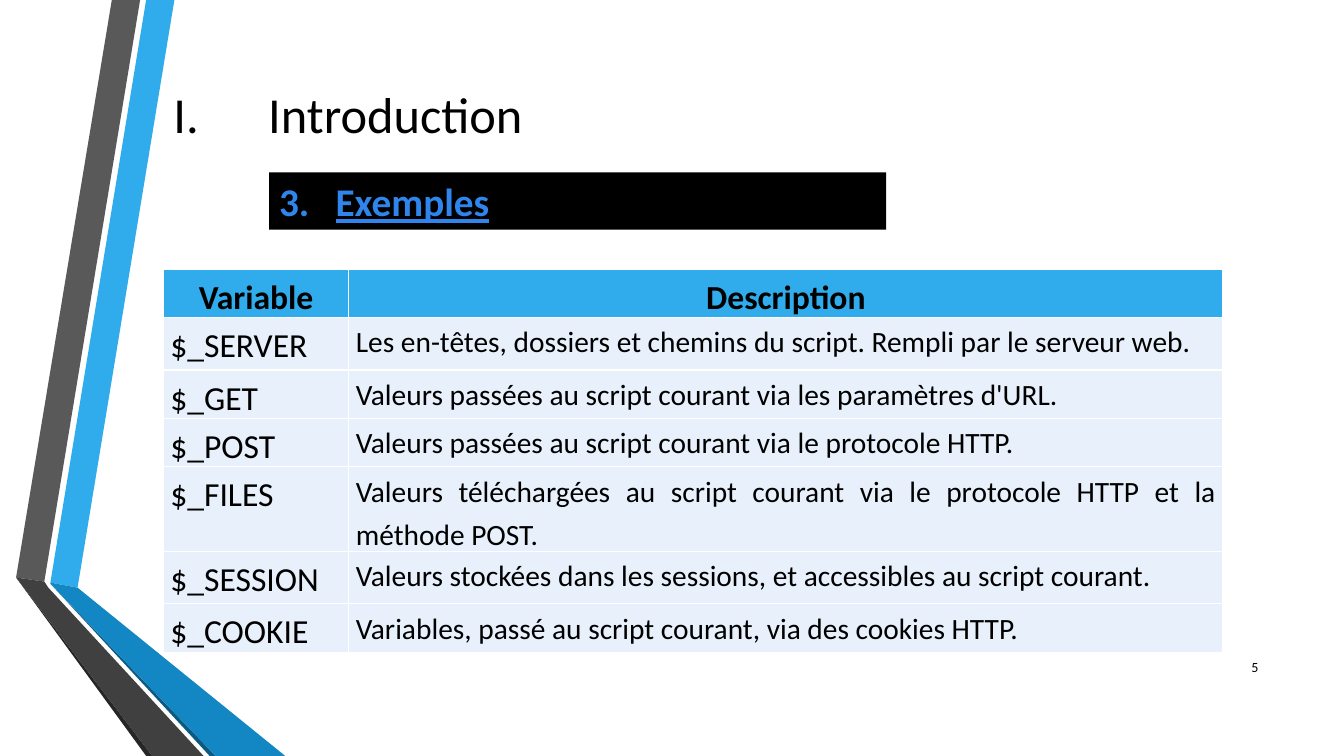
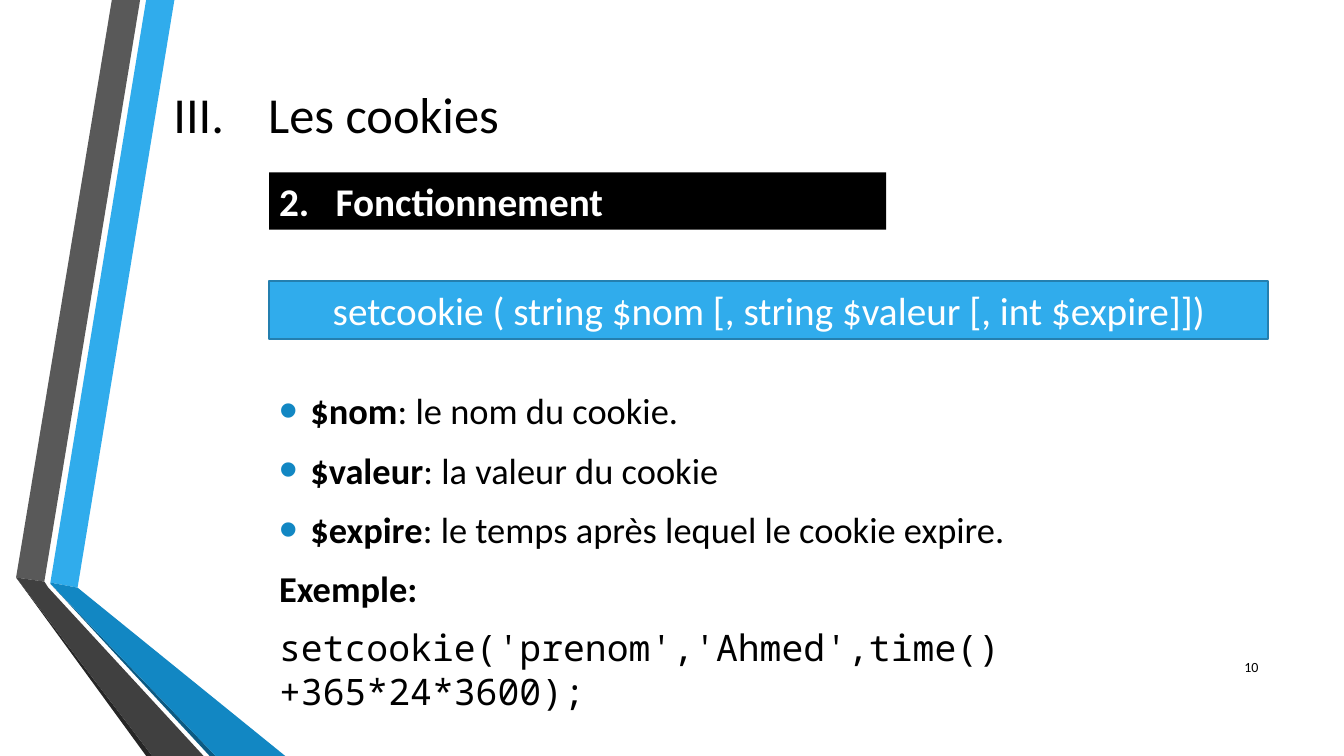
"""Build two course slides on PHP variables and cookies."""
from lxml.etree import SubElement
from pptx import Presentation
from pptx.dml.color import RGBColor
from pptx.enum.shapes import MSO_SHAPE
from pptx.enum.text import MSO_ANCHOR, MSO_AUTO_SIZE, PP_ALIGN
from pptx.oxml.ns import qn
from pptx.util import Inches, Pt

COLORS = {
    "black": "000000", "white": "FFFFFF", "sky": "30ACEC", "blue": "1287C3",
    "navy": "0C5A82", "edge": "247FAF", "link": "3085ED", "pale": "E8F1FB",
    "gray": "595959", "charcoal": "404040", "coal": "262626",
}
RGB = {name: RGBColor.from_string(value) for name, value in COLORS.items()}
FONT, CODE_FONT = "Calibri", "Noto Sans Mono"
MARGIN, INDENTED, RIGHT = 1.62, 2.67, 12.58
BODY_WIDTH = RIGHT - INDENTED
BAR_HEIGHT = 0.57
RIBBONS = [
    ("sky", [(50, 578), (77, 583), (173, 0), (145, 0)]),
    ("gray", [(139, 0), (111, 0), (16, 573), (44, 577)]),
    ("coal", [(16, 573), (145, 750), (151, 750)]),
    ("navy", [(50, 579), (208, 750), (214, 750)]),
    ("blue", [(50, 579), (214, 750), (283, 750), (77, 583), (50, 578)]),
    ("charcoal", [(202, 750), (48, 583), (44, 577), (16, 573), (151, 750)]),
]


def write(paragraph, runs, size, color="black", indent=0, marks=(), **layout):
    """Fill a paragraph with (text, font settings) runs and its list marks."""
    for name, value in layout.items():
        setattr(paragraph, name, value)
    for text, settings in runs:
        run = paragraph.add_run()
        run.text = text
        run.font.color.rgb = RGB[color]
        for name, value in {"name": FONT, "size": Pt(size), **settings}.items():
            setattr(run.font, name, value)
    properties = paragraph._p.get_or_add_pPr()
    if indent:
        properties.set("marL", str(Inches(indent)))
        properties.set("indent", str(-Inches(indent)))
    for tag, attributes in marks:
        SubElement(properties, qn(tag), attributes)


def add_box(slide, left, top, width, height, fill=None, line=None):
    """Add a text box, or a rectangle when a fill is given, and return its text."""
    place = [Inches(length) for length in (left, top, width, height)]
    if fill:
        shape = slide.shapes.add_shape(MSO_SHAPE.RECTANGLE, *place)
        shape.shadow.inherit = False
        shape.fill.solid()
        shape.fill.fore_color.rgb = RGB[fill]
        if line:
            shape.line.color.rgb = RGB[line]
            shape.line.width = Pt(1.25)
        else:
            shape.line.fill.background()
    else:
        shape = slide.shapes.add_textbox(*place)
    shape.text_frame.word_wrap = True
    shape.text_frame.vertical_anchor = MSO_ANCHOR.MIDDLE
    return shape.text_frame


presentation = Presentation()
presentation.slide_width = Inches(13.33)
presentation.slide_height = Inches(7.5)
layout = presentation.slide_layouts.get_by_name("Title Only")
for placeholder in list(layout.placeholders):
    if placeholder.placeholder_format.idx:
        layout.shapes.element.remove(placeholder.element)

headings = [
    ("Introduction", 1, "Exemples", 3, "link", True, "5"),
    ("Les cookies", 3, "Fonctionnement", 2, "white", False, "10"),
]
slides = []
for title, chapter, section, number, color, underline, page in headings:
    slide = presentation.slides.add_slide(layout)
    slides.append(slide)
    heading = slide.shapes.title
    heading.left, heading.top = Inches(MARGIN), Inches(0.75)
    heading.width, heading.height = Inches(RIGHT - MARGIN), Inches(0.74)
    heading.text_frame.vertical_anchor = MSO_ANCHOR.MIDDLE
    heading.text_frame.auto_size = MSO_AUTO_SIZE.NONE
    write(heading.text_frame.paragraphs[0], [(title, {})], 36, indent=0.94,
          marks=[("a:buFont", {"typeface": "+mj-lt"}),
                 ("a:buAutoNum", {"type": "romanUcPeriod", "startAt": str(chapter)})],
          alignment=PP_ALIGN.LEFT)
    page_text = add_box(slide, 11.98, 6.42, 0.6, 0.4)
    write(page_text.paragraphs[0], [(page, {})], 10, alignment=PP_ALIGN.RIGHT)
    section_text = add_box(slide, INDENTED, 1.71, 6.12, BAR_HEIGHT, "black")
    write(section_text.paragraphs[0], [(section, {"bold": True, "underline": underline})],
          28, color, indent=0.56,
          marks=[("a:buFont", {"typeface": "+mj-lt"}),
                 ("a:buAutoNum", {"type": "arabicPeriod", "startAt": str(number)})],
          alignment=PP_ALIGN.LEFT)
examples, cookies = slides

ribbons = []
for color, points in RIBBONS:
    builder = examples.shapes.build_freeform(*points[0], scale=Inches(0.01))
    builder.add_line_segments(points[1:], close=True)
    ribbon = builder.convert_to_shape()
    ribbon.shadow.inherit = False
    ribbon.fill.solid()
    ribbon.fill.fore_color.rgb = RGB[color]
    ribbon.line.fill.background()
    ribbons.append(ribbon)
for ribbon in ribbons:
    layout.shapes.element.append(ribbon.element)

variables = [
    ("Variable", "Description", 0.4),
    ("$_SERVER", "Les en-têtes, dossiers et chemins du script. Rempli par le serveur web.", 0.52),
    ("$_GET", "Valeurs passées au script courant via les paramètres d'URL.", 0.46),
    ("$_POST", "Valeurs passées au script courant via le protocole HTTP.", 0.36),
    ("$_FILES", "Valeurs téléchargées au script courant via le protocole HTTP et la méthode POST.", 0.76),
    ("$_SESSION", "Valeurs stockées dans les sessions, et accessibles au script courant.", 0.52),
    ("$_COOKIE", "Variables, passé au script courant, via des cookies HTTP.", 0.36),
]
column_widths = [1.84, 8.67]
table = examples.shapes.add_table(
    len(variables), 2, Inches(MARGIN), Inches(2.67), Inches(sum(column_widths)),
    Inches(sum(row[-1] for row in variables))).table
table.horz_banding = False
for column, width in zip(table.columns, column_widths):
    column.width = Inches(width)
for row_index, (*texts, height) in enumerate(variables):
    table.rows[row_index].height = Inches(height)
    is_header = row_index == 0
    for column_index, text in enumerate(texts):
        cell = table.cell(row_index, column_index)
        cell.margin_left = cell.margin_right = Inches(0.07)
        cell.margin_top = cell.margin_bottom = 0
        cell_properties = cell._tc.get_or_add_tcPr()
        for side in "LRTB":
            border = SubElement(cell_properties, qn(f"a:ln{side}"), {"w": str(Pt(1))})
            border_fill = SubElement(border, qn("a:solidFill"))
            SubElement(border_fill, qn("a:srgbClr"), {"val": COLORS["white"]})
        cell.fill.solid()
        cell.fill.fore_color.rgb = RGB["sky" if is_header else "pale"]
        write(cell.text_frame.paragraphs[0], [(text, {"bold": is_header})],
              24 if is_header or column_index == 0 else 21, line_spacing=1.2,
              alignment=PP_ALIGN.CENTER if is_header else PP_ALIGN.JUSTIFY)

signature = add_box(cookies, INDENTED, 2.79, BODY_WIDTH, BAR_HEIGHT, "sky", "edge")
write(signature.paragraphs[0],
      [("setcookie\u00a0(\u00a0string\u00a0$nom\u00a0[,\u00a0string\u00a0$valeur\u00a0"
        "[,\u00a0int\u00a0$expire]])", {})],
      28, "white", alignment=PP_ALIGN.CENTER)

spacing = {"space_before": Pt(5.2), "space_after": Pt(6)}
parameters = [
    ("$nom", ": le nom du cookie."),
    ("$valeur", ": la valeur du cookie"),
    ("$expire", ": le temps après lequel le cookie expire."),
]
parameter_text = add_box(cookies, INDENTED, 3.64, BODY_WIDTH, 2.04)
for index, (name, meaning) in enumerate(parameters):
    paragraph = parameter_text.add_paragraph() if index else parameter_text.paragraphs[0]
    write(paragraph, [(name, {"bold": True}), (meaning, {})], 26, indent=0.31,
          alignment=PP_ALIGN.JUSTIFY, **spacing)
    properties = paragraph._p.get_or_add_pPr()
    bullet_color = SubElement(properties, qn("a:buClr"))
    SubElement(bullet_color, qn("a:srgbClr"), {"val": COLORS["blue"]})
    SubElement(properties, qn("a:buSzPct"), {"val": "145000"})
    SubElement(properties, qn("a:buFont"), {"typeface": "Arial"})
    SubElement(properties, qn("a:buChar"), {"char": "•"})

example_text = add_box(cookies, INDENTED, 5.68, BODY_WIDTH, 1.32)
write(example_text.paragraphs[0], [("Exemple:", {"bold": True})], 26,
      alignment=PP_ALIGN.JUSTIFY, **spacing)
write(example_text.add_paragraph(),
      [("setcookie('prenom','Ahmed',time()+365*24*3600);", {"name": CODE_FONT})], 26, **spacing)

presentation.save("out.pptx")
